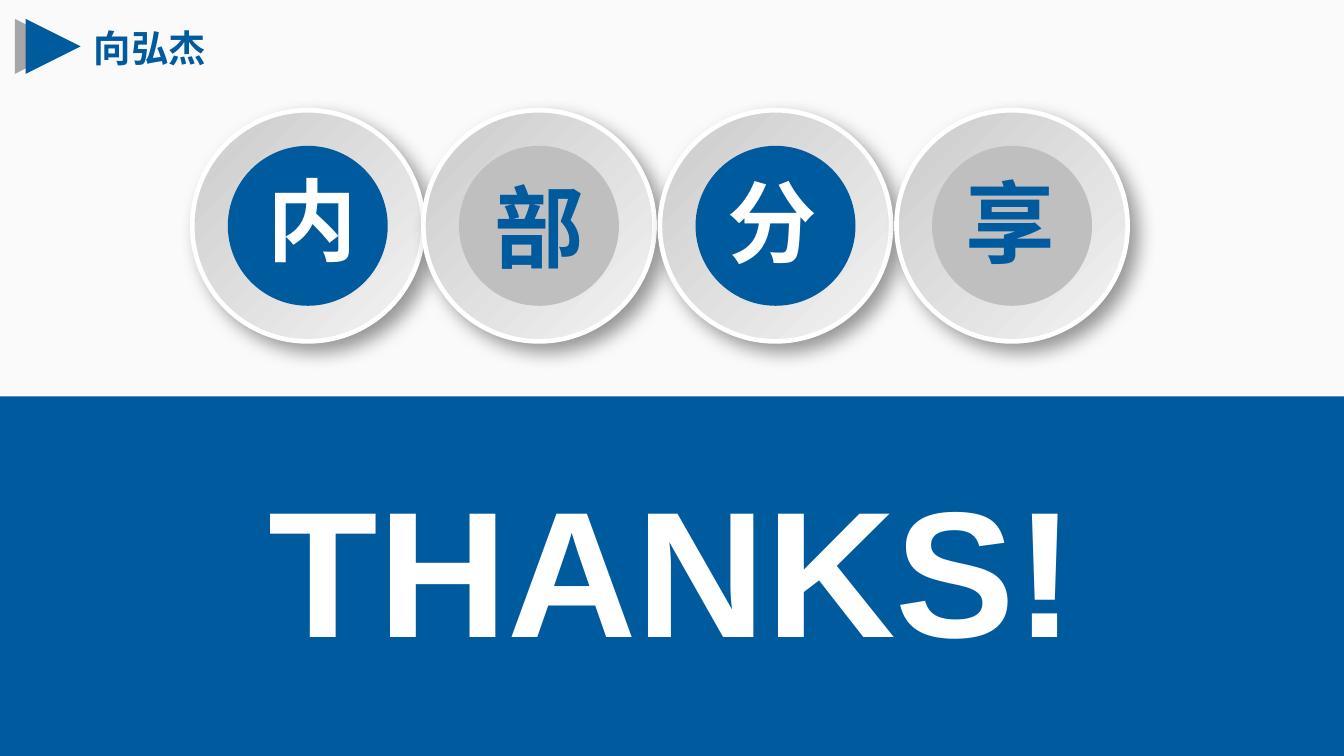
import pptx
import pptx.util
import pptx.oxml
import pptx.dml.color
import pptx.enum.shapes
import pptx.enum.text

Inches = pptx.util.Inches
Pt = pptx.util.Pt
RGB = pptx.dml.color.RGBColor
SHAPE = pptx.enum.shapes.MSO_SHAPE
ALIGN = pptx.enum.text.PP_ALIGN

BLUE = RGB(0x00, 0x5A, 0x9E)
WHITE = RGB(0xFF, 0xFF, 0xFF)
GRAY = RGB(0xBF, 0xBF, 0xBF)
DARK = RGB(0xA6, 0xA6, 0xA6)
RIM = (RGB(0xCB, 0xCB, 0xCB), RGB(0xF3, 0xF3, 0xF3))
PAGE = (RGB(0xFA, 0xFA, 0xFA), RGB(0xFC, 0xFC, 0xFC))

WIDE = 10
HIGH = WIDE * 9 / 16
FRAME = {
    "auto_size": pptx.enum.text.MSO_AUTO_SIZE.NONE,
    "vertical_anchor": pptx.enum.text.MSO_ANCHOR.TOP,
    "margin_left": Inches(0.1), "margin_right": Inches(0.1),
    "margin_top": Inches(0.05), "margin_bottom": Inches(0.05),
    "word_wrap": True,
}
FONT = {"name": "Arial", "bold": True}
SHADOW = (
    '<a:outerShdw xmlns:a="http://schemas.openxmlformats.org/drawingml/2006/main" '
    'blurRad="127000" dist="76200" dir="2700000" algn="tl" rotWithShape="0">'
    '<a:srgbClr val="000000"><a:alpha val="40000"/></a:srgbClr></a:outerShdw>'
)


def style(item, values):
    """Set each attribute named in values."""
    for name, value in values.items():
        setattr(item, name, value)


def blend(fill, tones, angle):
    """Give a fill a two-stop gradient."""
    fill.gradient()
    fill.gradient_angle = angle
    for stop, tone in zip(fill.gradient_stops, tones):
        stop.color.rgb = tone


def write(shape, text, size, color, align):
    """Put one formatted line of text in a shape."""
    frame = shape.text_frame
    style(frame, FRAME)
    line = frame.paragraphs[0]
    line.text = text
    line.alignment = align
    font = line.runs[0].font
    style(font, {**FONT, "size": Pt(size)})
    font.color.rgb = color


def draw(shapes, kind, box, color=None):
    """Add a preset shape without line or shadow."""
    shape = shapes.add_shape(kind, *map(Inches, box))
    shape.shadow.inherit = False
    shape.line.fill.background()
    if color is not None:
        shape.fill.solid()
        shape.fill.fore_color.rgb = color
    return shape


def banner(slide, left, top, width, height):
    """Build the blue band with the closing title."""
    band = draw(slide.shapes, SHAPE.RECTANGLE, (left, top, width, height), BLUE)
    title = slide.shapes.title
    style(title, {"left": Inches(left), "top": Inches(top + 0.41),
                  "width": Inches(width), "height": Inches(1.72)})
    write(title, "THANKS!", 96, WHITE, ALIGN.CENTER)
    band._element.addnext(title._element)


def header(slide, left, top, size):
    """Build the pair of arrows and the name beside them."""
    for shift, color in ((0, DARK), (0.08, BLUE)):
        box = (left + shift, top, size, size)
        draw(slide.shapes, SHAPE.FLOWCHART_EXTRACT, box, color).rotation = 90
    label = slide.shapes.add_textbox(
        Inches(left + 0.49), Inches(top), Inches(2.06), Inches(0.44))
    write(label, "向弘杰", 20, BLUE, ALIGN.LEFT)


def badge(slide, left, top, size, text, fill, ink, shift, drop, width):
    """Build one ringed disc with a character in it."""
    shapes = slide.shapes.add_group_shape().shapes
    ring = draw(shapes, SHAPE.OVAL, (left, top, size, size))
    blend(ring.fill, RIM, 315)
    ring.line.color.rgb = WHITE
    ring.line.width = Pt(2.5)
    glow = ring._element.spPr.find(pptx.oxml.ns.qn("a:effectLst"))
    glow.append(pptx.oxml.parse_xml(SHADOW))
    disc = 1.19
    inset = (size - disc) / 2
    draw(shapes, SHAPE.OVAL, (left + inset, top + inset, disc, disc), fill)
    label = shapes.add_textbox(Inches(left + shift), Inches(top + drop),
                               Inches(width), Inches(0.91))
    write(label, text, 48, ink, ALIGN.CENTER)


def main():
    """Build the closing slide and save it."""
    deck = pptx.Presentation()
    style(deck, {"slide_width": Inches(WIDE), "slide_height": Inches(HIGH)})
    slide = deck.slides.add_slide(deck.slide_layouts[5])
    blend(slide.background.fill, PAGE, 270)
    banner(slide, 0, 2.95, WIDE, 2.68)
    header(slide, 0.11, 0.14, 0.41)
    for left, text, fill, ink, shift, drop, width in (
        (1.43, "内", BLUE, WHITE, 0.46, 0.36, 0.8),
        (3.15, "部", GRAY, BLUE, 0.35, 0.41, 1.02),
        (4.91, "分", BLUE, WHITE, 0.4, 0.37, 0.87),
        (6.67, "享", GRAY, BLUE, 0.38, 0.37, 0.94),
    ):
        badge(slide, left, 0.82, 1.72, text, fill, ink, shift, drop, width)
    deck.save("out.pptx")


if __name__ == "__main__":
    main()
